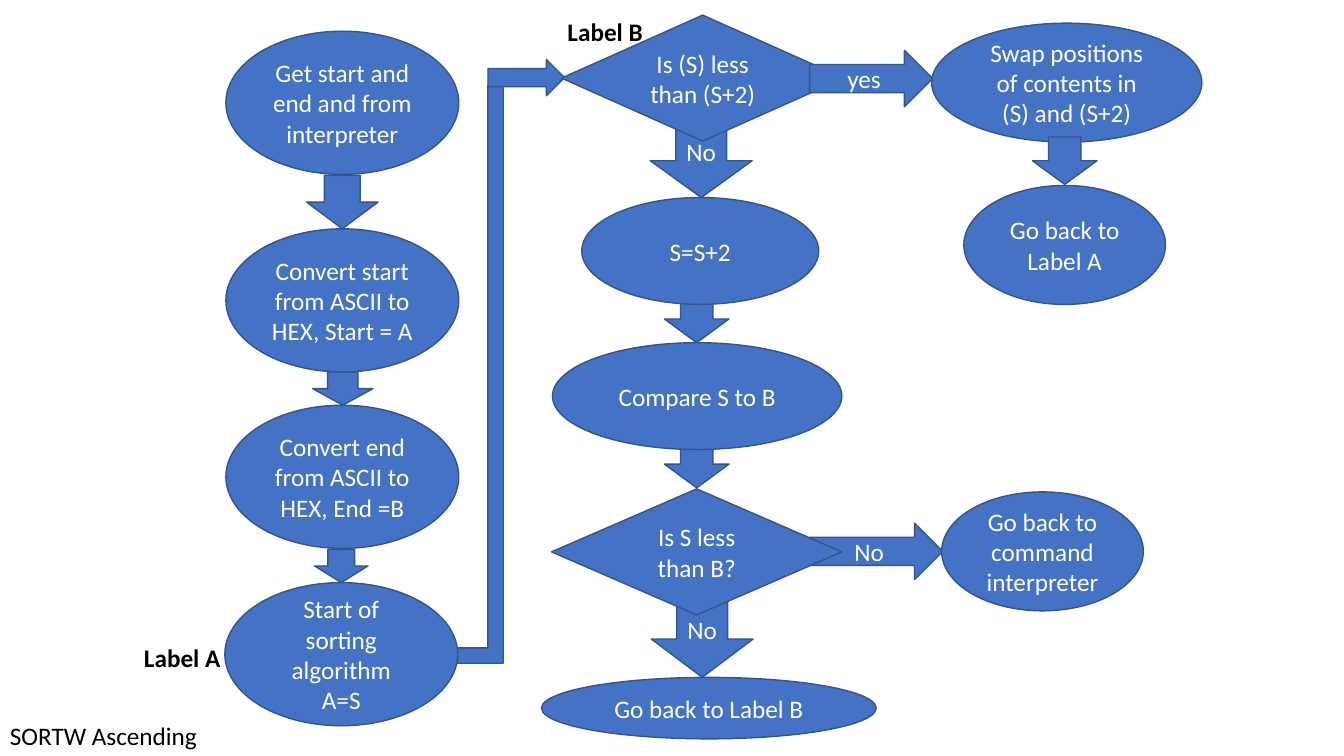
from pptx import Presentation
from pptx.dml.color import RGBColor
from pptx.enum.shapes import MSO_SHAPE
from pptx.enum.text import MSO_ANCHOR, MSO_AUTO_SIZE, PP_ALIGN
from pptx.util import Emu, Pt

PX = 9144
COLORS = {"fill": "4472C4", "line": "325491", "light": "FFFFFF", "dark": "000000"}
FONT = "Calibri"

OVAL = MSO_SHAPE.OVAL
TEST = MSO_SHAPE.FLOWCHART_DECISION
DOWN = MSO_SHAPE.DOWN_ARROW
RIGHT = MSO_SHAPE.RIGHT_ARROW
BENT = MSO_SHAPE.BENT_UP_ARROW

STEP = (231, 142)
LOOP = (200, 118)
SHORT = (64, 47)

BACK = [
    (DOWN, 645, 123, (101, 73), "No"),
    (DOWN, 646, 596, (101, 76), "No"),
    (RIGHT, 803, 519, (132, 56), "No"),
    (DOWN, 659, 437, SHORT, ""),
    (DOWN, 659, 293, SHORT, ""),
    (BENT, 438, 72, (61, 586), ""),
    (RIGHT, 484, 59, (76, 36), ""),
]
NODES = [
    (OVAL, 224, 31, STEP, "Get start and end and from interpreter"),
    (OVAL, 224, 227, STEP, "Convert start from ASCII to HEX, Start = A"),
    (OVAL, 224, 402, STEP, "Convert end from ASCII to HEX, End =B"),
    (OVAL, 223, 578, STEP, "Start of sorting algorithm\nA=S"),
    (TEST, 557, 15, (280, 125), "Is (S) less than (S+2)"),
    (OVAL, 577, 196, (235, 106), "S=S+2"),
    (OVAL, 548, 340, (287, 106), "Compare S to B"),
    (TEST, 547, 485, (288, 125), "Is S less than B?"),
    (OVAL, 537, 672, (332, 61), "Go back to Label B"),
    (OVAL, 924, 23, (268, 118), "Swap positions of contents in (S) and (S+2)"),
    (OVAL, 956, 184, LOOP, "Go back to Label A"),
    (OVAL, 934, 488, LOOP, "Go back to command interpreter"),
]
FRONT = [
    (DOWN, 304, 174, (71, 53), ""),
    (DOWN, 310, 369, (60, 33), ""),
    (DOWN, 312, 545, (53, 33), ""),
    (RIGHT, 803, 50, (122, 56), "yes"),
    (DOWN, 1024, 136, SHORT, ""),
]
LABELS = [
    (0, 710, 206, "SORTW Ascending", False),
    (133, 632, 150, "Label A", True),
    (553, 11, 150, "Label B", True),
]
BENDS = (0.25, 0.123, 0.213)


def color(name):
    return RGBColor.from_string(COLORS[name])


def box(*nums):
    return [Emu(n * PX) for n in nums]


def write(frame, text, tone, align, bold=False):
    frame.text = text
    for para in frame.paragraphs:
        para.alignment = align
        font = para.font
        font.name, font.size, font.bold = FONT, Pt(18), bold
        font.color.rgb = color(tone)


def draw(slide, kind, left, top, size, text):
    shape = slide.shapes.add_shape(kind, *box(left, top, *size))
    shape.shadow.inherit = False
    shape.fill.solid()
    shape.fill.fore_color.rgb = color("fill")
    shape.line.color.rgb = color("line")
    shape.line.width = Pt(1)
    if kind == BENT:
        for i, bend in enumerate(BENDS):
            shape.adjustments[i] = bend
    if text:
        frame = shape.text_frame
        frame.word_wrap = True
        frame.vertical_anchor = MSO_ANCHOR.MIDDLE
        write(frame, text, "light", PP_ALIGN.CENTER)


def label(slide, left, top, width, text, bold):
    frame = slide.shapes.add_textbox(*box(left, top, width, 40)).text_frame
    frame.word_wrap = bold
    frame.auto_size = MSO_AUTO_SIZE.SHAPE_TO_FIT_TEXT
    write(frame, text, "dark", PP_ALIGN.LEFT, bold)


def main():
    deck = Presentation()
    deck.slide_width, deck.slide_height = box(1333, 750)
    slide = deck.slides.add_slide(deck.slide_layouts[6])
    for item in BACK + NODES + FRONT:
        draw(slide, *item)
    for item in LABELS:
        label(slide, *item)
    deck.save("out.pptx")


if __name__ == "__main__":
    main()
